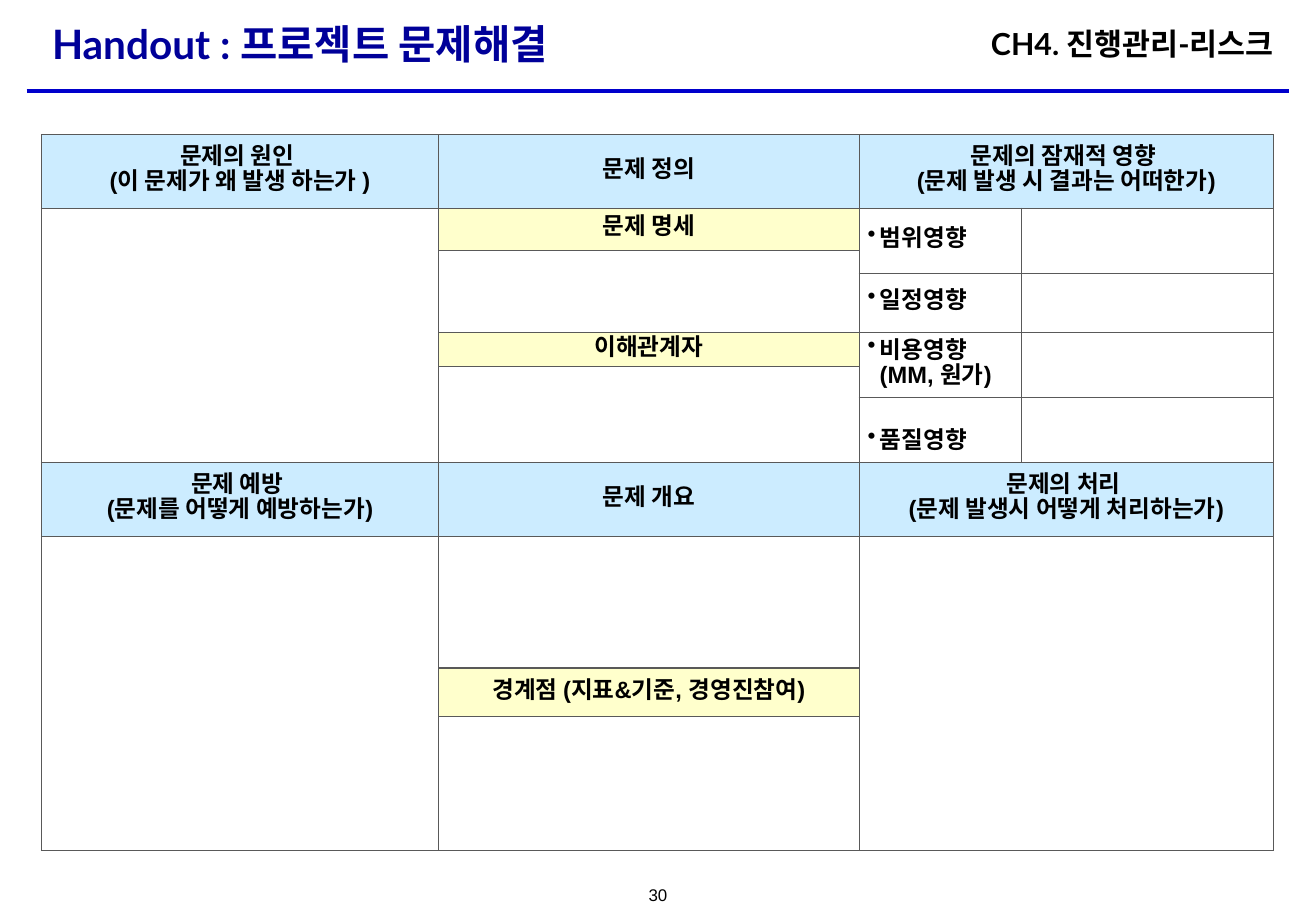
from dataclasses import dataclass, field

from lxml import etree
from pptx import Presentation, util as u
from pptx.dml.color import RGBColor
from pptx.enum import shapes, text
from pptx.oxml import ns

PAGE_COLS, PAGE_ROWS = 1083, 750  # grid squares of a hundredth of an inch
COLORS = {
    "title": "000099", "rule": "0000CC", "ink": "000000", "border": "595959",
    "header": "CCECFF", "band": "FFFFCC", "blank": "FFFFFF",
}
LEFT, CENTER, RIGHT = text.PP_ALIGN.LEFT, text.PP_ALIGN.CENTER, text.PP_ALIGN.RIGHT

TABLE_LEFT, TABLE_TOP = 34, 111
TABLE_COLS = [327, 346, 134, 207]
TABLE_ROWS = [60.5, 34.5, 19.5, 48, 0, 28.5, 25.5, 53.5, 60.5, 108.5, 40, 110]


@dataclass
class Label:
    words: str
    box: tuple[float, float, float, float]
    size: int
    color: str = "ink"
    font: str = "Lato"
    bold: bool = True
    align: text.PP_ALIGN = LEFT
    anchor: text.MSO_ANCHOR = text.MSO_ANCHOR.TOP
    wrap: bool = False


@dataclass
class Entry:
    row: int
    col: int
    words: str = ""
    fill: str = "blank"
    rows: int = 1
    cols: int = 1
    bullet: bool = False
    top_inset: float = 3
    spacing: dict[str, u.Pt] = field(default_factory=dict)


LABELS = [
    Label("30", (521, 723, 41, 27), 10, font="Arial", bold=False, align=CENTER),
    Label("Handout : 프로젝트 문제해결", (33, 6, 1017, 60), 24, "title",
          anchor=text.MSO_ANCHOR.MIDDLE, wrap=True),
    Label("CH4. 진행관리-리스크", (754, 16, 304, 40), 18, align=RIGHT),
]

ENTRIES = [
    Entry(0, 0, "문제의 원인 \n(이 문제가 왜 발생 하는가 )", "header"),
    Entry(0, 1, "문제 정의", "header"),
    Entry(0, 2, "문제의 잠재적 영향 \n(문제 발생 시 결과는 어떠한가)", "header", cols=2),
    Entry(1, 0, rows=7),
    Entry(1, 1, "문제 명세", "band"),
    Entry(2, 1, rows=2),
    Entry(4, 1, "이해관계자", "band", rows=2),
    Entry(6, 1, rows=2),
    Entry(1, 2, "범위영향", rows=2, bullet=True),
    Entry(3, 2, "일정영향", rows=2, bullet=True),
    Entry(5, 2, "비용영향\n(MM, 원가)", rows=2, bullet=True),
    Entry(7, 2, "품질영향", bullet=True, top_inset=24),
    *(Entry(row, 3, rows=rows) for row, rows in ((1, 2), (3, 2), (5, 2), (7, 1))),
    Entry(8, 0, "문제 예방 \n(문제를 어떻게 예방하는가)", "header"),
    Entry(8, 1, "문제 개요", "header"),
    Entry(8, 2, "문제의 처리 \n(문제 발생시 어떻게 처리하는가)", "header", cols=2),
    Entry(9, 0, rows=3),
    Entry(9, 1),
    Entry(9, 2, rows=3, cols=2),
    Entry(10, 1, "경계점 (지표&기준, 경영진참여)", "band", spacing={"space_after": u.Pt(6)}),
    Entry(11, 1),
]


def grid(squares: float) -> u.Emu:
    return u.Inches(squares / 100)


def rgb(name: str) -> RGBColor:
    return RGBColor.from_string(COLORS[name])


def apply(target, values: dict) -> None:
    for name, value in values.items():
        setattr(target, name, value)


def style_spans(para, size: int, font: str, bold: bool, color: str) -> None:
    for span in para.runs:
        apply(span.font, {"size": u.Pt(size), "name": font, "bold": bold})
        span.font.color.rgb = rgb(color)


def draw_label(page, label: Label) -> None:
    box = page.shapes.add_textbox(*map(grid, label.box))
    apply(box.text_frame, {"word_wrap": label.wrap, "vertical_anchor": label.anchor})
    para = box.text_frame.paragraphs[0]
    apply(para, {"text": label.words, "alignment": label.align})
    style_spans(para, label.size, label.font, label.bold, label.color)


def draw_rule(page) -> None:
    rule = page.shapes.add_connector(
        shapes.MSO_CONNECTOR.STRAIGHT, *map(grid, (22, 75, 1061, 75)))
    rule.line.color.rgb = rgb("rule")
    rule.line.width = u.Pt(2.25)
    etree.SubElement(rule._element.spPr, ns.qn("a:effectLst"))


def add_borders(cell) -> None:
    properties = cell._tc.get_or_add_tcPr()
    for place, side in enumerate(("lnL", "lnR", "lnT", "lnB")):
        line = etree.Element(ns.qn(f"a:{side}"), w=str(u.Pt(0.75)))
        fill = etree.SubElement(line, ns.qn("a:solidFill"))
        etree.SubElement(fill, ns.qn("a:srgbClr"), val=COLORS["border"])
        properties.insert(place, line)


def add_bullet(para) -> None:
    properties = para._p.get_or_add_pPr()
    properties.set("marL", str(grid(10)))
    properties.set("indent", str(-grid(10)))
    etree.SubElement(properties, ns.qn("a:buChar"), char="•")


def fill_entry(table, entry: Entry) -> None:
    cell = table.cell(entry.row, entry.col)
    if entry.rows * entry.cols > 1:
        cell.merge(table.cell(entry.row + entry.rows - 1, entry.col + entry.cols - 1))
    cell.fill.solid()
    cell.fill.fore_color.rgb = rgb(entry.fill)
    apply(cell, {
        "vertical_anchor": text.MSO_ANCHOR.MIDDLE,
        "margin_left": grid(7), "margin_right": grid(7),
        "margin_top": grid(entry.top_inset), "margin_bottom": grid(3),
    })
    if entry.words:
        para = cell.text_frame.paragraphs[0]
        apply(para, {
            "text": entry.words, "line_spacing": u.Pt(15),
            "alignment": LEFT if entry.bullet else CENTER, **entry.spacing,
        })
        style_spans(para, 14, "Arial", True, "ink")
        if entry.bullet:
            add_bullet(para)


def draw_table(page) -> None:
    frame = page.shapes.add_table(
        len(TABLE_ROWS), len(TABLE_COLS), grid(TABLE_LEFT), grid(TABLE_TOP),
        grid(sum(TABLE_COLS)), grid(sum(TABLE_ROWS)))
    table = frame.table
    apply(table, {"first_row": False, "horz_banding": False})
    for column, width in zip(table.columns, TABLE_COLS):
        column.width = grid(width)
    for row, height in zip(table.rows, TABLE_ROWS):
        row.height = grid(height)
    for entry in ENTRIES:
        fill_entry(table, entry)
    for cell in table.iter_cells():
        add_borders(cell)


def main() -> None:
    deck = Presentation()
    apply(deck, {"slide_width": grid(PAGE_COLS), "slide_height": grid(PAGE_ROWS)})
    page = deck.slides.add_slide(deck.slide_layouts[6])
    draw_rule(page)
    draw_table(page)
    for label in LABELS:
        draw_label(page, label)
    deck.save("out.pptx")


if __name__ == "__main__":
    main()
